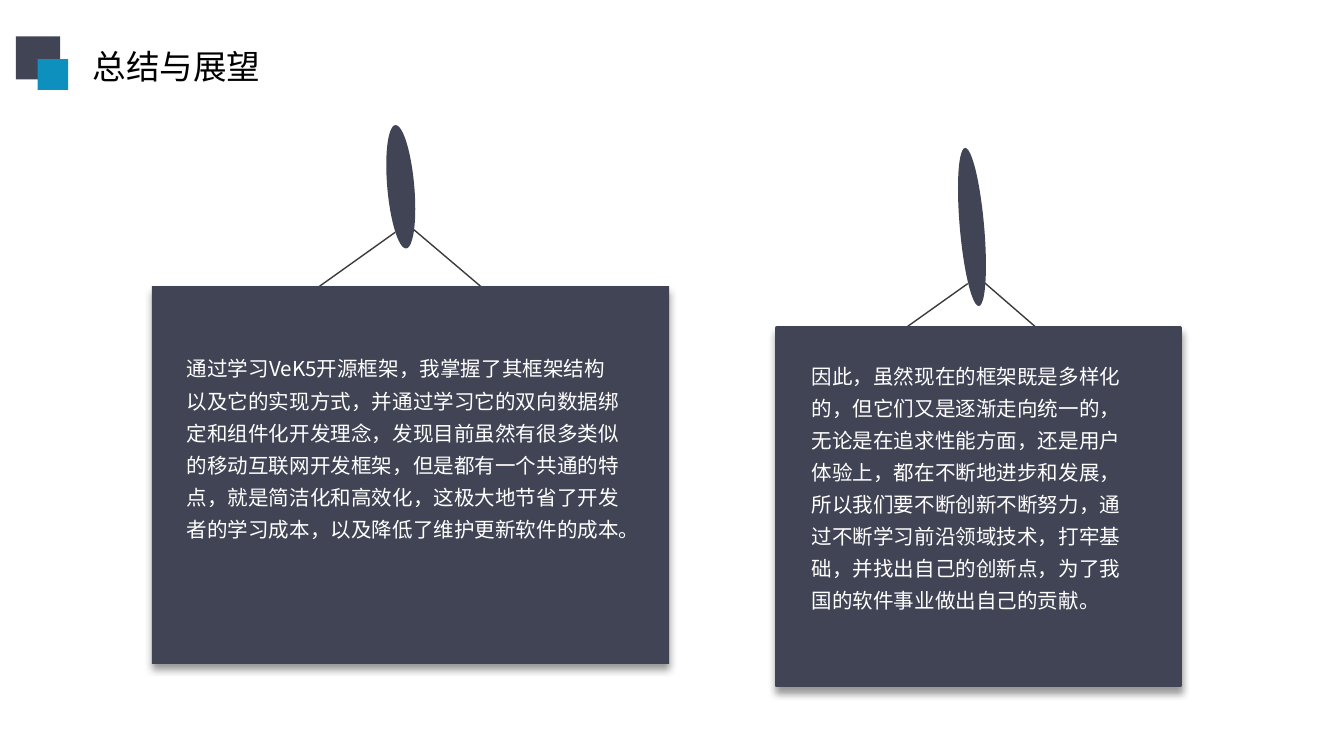
"""Build the summary and outlook slide with two hanging signs."""
from dataclasses import dataclass

from lxml.etree import SubElement
from pptx import Presentation
from pptx.dml.color import RGBColor
from pptx.enum.shapes import MSO_CONNECTOR as Conn, MSO_SHAPE as Shp
from pptx.enum.text import MSO_AUTO_SIZE as Auto
from pptx.oxml.ns import qn
from pptx.util import Cm, Pt

SLATE = RGBColor(0x41, 0x44, 0x55)
BLUE = RGBColor(0x0E, 0x90, 0xBE)
STRING = RGBColor(0x3A, 0x3A, 0x3A)
WHITE = RGBColor(0xFF, 0xFF, 0xFF)
BLACK = RGBColor(0, 0, 0)
FONT = "Noto Sans CJK SC"
Box = tuple[float, float, float, float]


@dataclass
class Sign:
    strings: tuple[Box, Box]
    nail: Box
    board: Box
    border: float
    text_box: Box
    text: str


SIGNS = [
    Sign(((5.97, 5.46, 7.47, 4.39), (7.82, 4.34, 9.14, 5.46)),
         (7.32, 2.36, 0.51, 2.34), (2.87, 5.41, 9.78, 7.14), 0,
         (3.35, 6.5, 8.66, 3.86),
         "通过学习VeK5开源框架，我掌握了其框架结构以及它的实现方式，"
         "并通过学习它的双向数据绑定和组件化开发理念，"
         "发现目前虽然有很多类似的移动互联网开发框架，"
         "但是都有一个共通的特点，就是简洁化和高效化，"
         "这极大地节省了开发者的学习成本，以及降低了维护更新软件的成本。"),
    Sign(((16.97, 6.3, 18.29, 5.36), (18.59, 5.33, 19.71, 6.3)),
         (18.14, 2.79, 0.46, 3), (14.68, 6.2, 7.62, 6.76), 2,
         (15.16, 6.65, 6.4, 5.69),
         "因此，虽然现在的框架既是多样化的，但它们又是逐渐走向统一的，"
         "无论是在追求性能方面，还是用户体验上，都在不断地进步和发展，"
         "所以我们要不断创新不断努力，通过不断学习前沿领域技术，"
         "打牢基础，并找出自己的创新点，为了我国的软件事业做出自己的贡献。"),
]


def cms(box: Box) -> list[Cm]:
    return [Cm(v) for v in box]


def add_solid(shapes, kind: Shp, box: Box, color: RGBColor, border: float = 0):
    sp = shapes.add_shape(kind, *cms(box))
    sp.fill.solid()
    sp.fill.fore_color.rgb = color
    if border:
        sp.line.color.rgb = color
        sp.line.width = Pt(border)
    else:
        sp.line.fill.background()
    sp.shadow.inherit = False
    return sp


def add_shadow(sp) -> None:
    effects = sp._element.spPr.find(qn("a:effectLst"))
    shadow = SubElement(effects, qn("a:outerShdw"), blurRad=str(Pt(4)),
                        dist=str(Pt(3)), dir="5400000", algn="t", rotWithShape="0")
    color = SubElement(shadow, qn("a:srgbClr"), val="000000")
    SubElement(color, qn("a:alpha"), val="40000")


def add_string(shapes, ends: Box) -> None:
    cxn = shapes.add_connector(Conn.STRAIGHT, *cms(ends))
    cxn.line.color.rgb = STRING
    cxn.line.width = Pt(0.75)
    SubElement(cxn._element.spPr, qn("a:effectLst"))


def add_text(shapes, box: Box, text: str, size: float, color: RGBColor,
             frame: dict, spacing: float = 1) -> None:
    tf = shapes.add_textbox(*cms(box)).text_frame
    for name, value in frame.items():
        setattr(tf, name, value)
    p = tf.paragraphs[0]
    p.line_spacing = spacing
    r = p.add_run()
    r.text = text
    for name, value in {"size": Pt(size), "name": FONT}.items():
        setattr(r.font, name, value)
    r.font.color.rgb = color
    SubElement(r._r.get_or_add_rPr(), qn("a:ea"), typeface=FONT)


def add_sign(shapes, sign: Sign) -> None:
    group = shapes.add_group_shape().shapes
    for ends in sign.strings:
        add_string(group, ends)
    add_solid(group, Shp.OVAL, sign.nail, SLATE).rotation = 355
    add_shadow(add_solid(group, Shp.RECTANGLE, sign.board, SLATE, sign.border))
    frame = {"word_wrap": True, "auto_size": Auto.SHAPE_TO_FIT_TEXT,
             "margin_left": Cm(0.18), "margin_right": Cm(0.18),
             "margin_top": Cm(0.1), "margin_bottom": Cm(0.1)}
    add_text(shapes, sign.text_box, sign.text, 11, WHITE, frame, 1.3)


prs = Presentation()
prs.slide_width, prs.slide_height = Cm(25.4), Cm(14.29)
s = prs.slides.add_slide(prs.slide_layouts[6])
for sign in SIGNS:
    add_sign(s.shapes, sign)
add_text(s.shapes, (1.5, 0.74, 3.71, 1.02), "总结与展望", 18, BLACK,
         {"word_wrap": False, "auto_size": Auto.SHAPE_TO_FIT_TEXT})
emblem = s.shapes.add_group_shape().shapes
for box, color in (((0.3, 0.69, 0.84, 0.81), SLATE), ((0.71, 1.12, 0.58, 0.58), BLUE)):
    add_solid(emblem, Shp.RECTANGLE, box, color)
prs.save("out.pptx")
